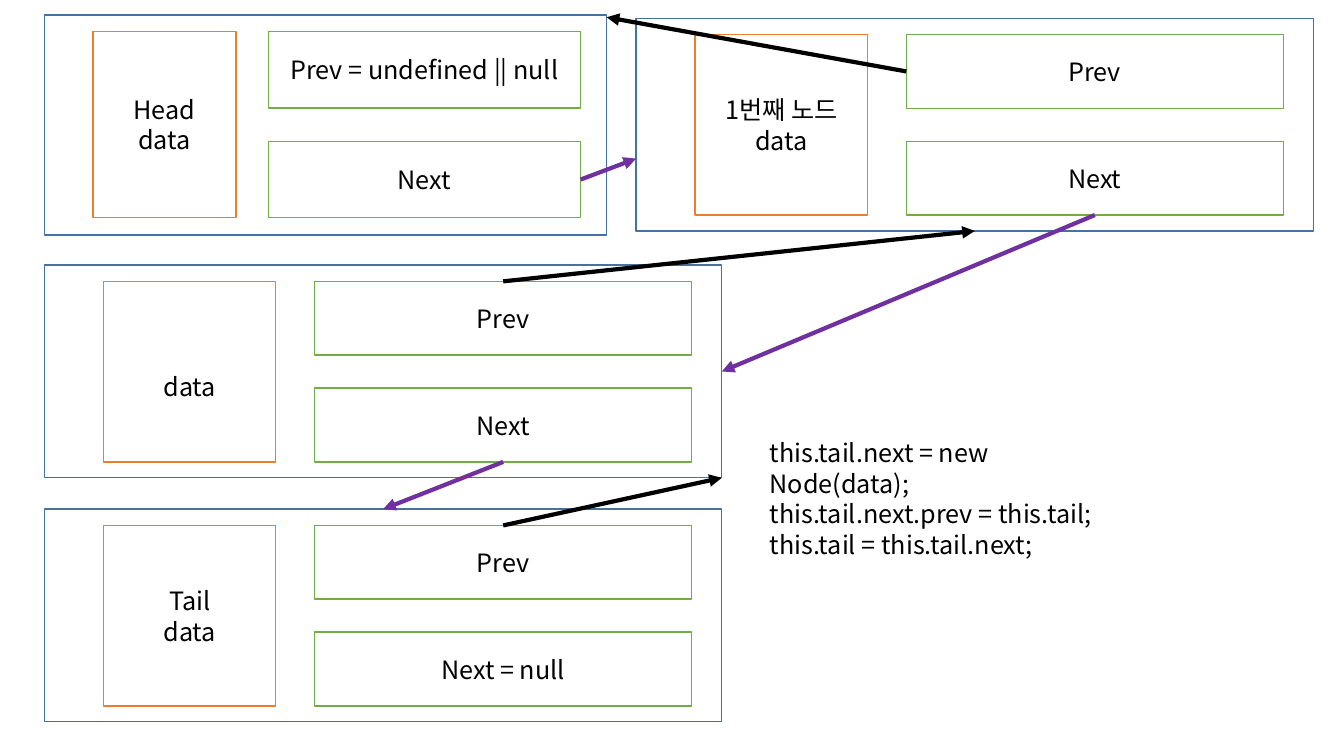
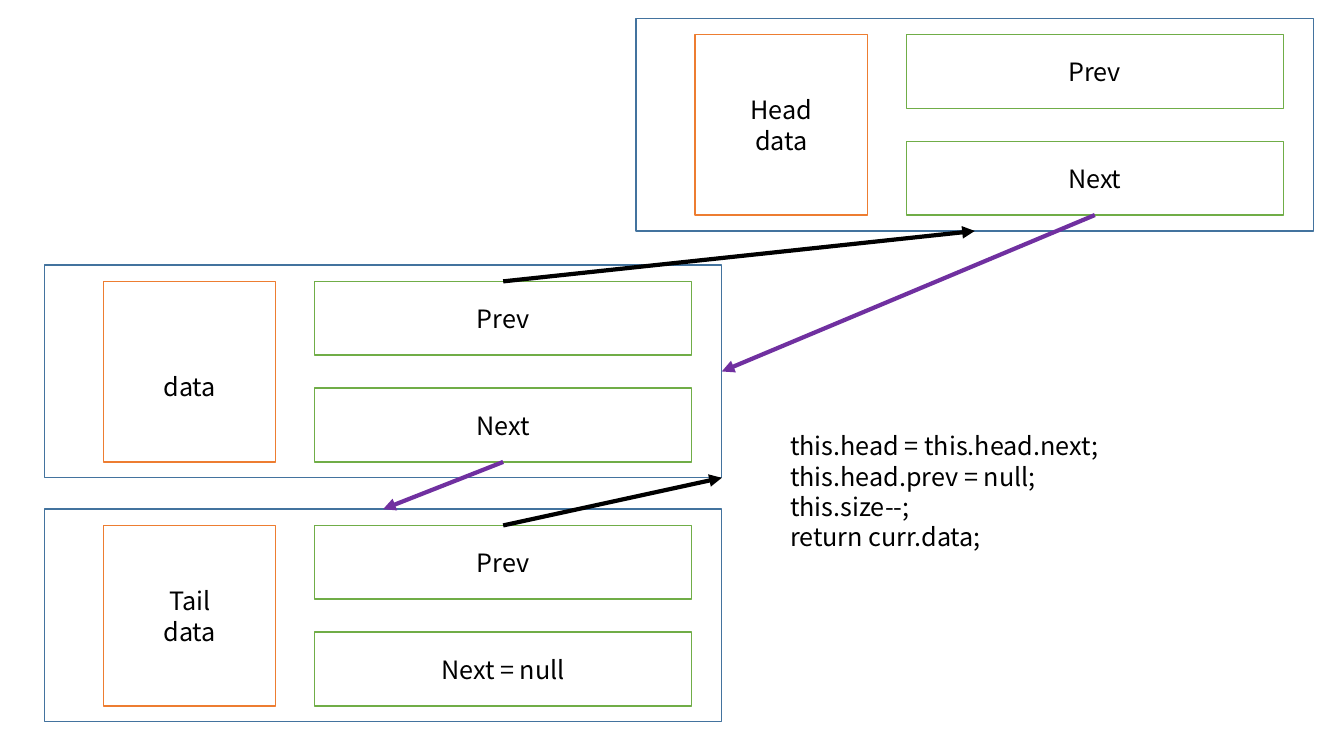
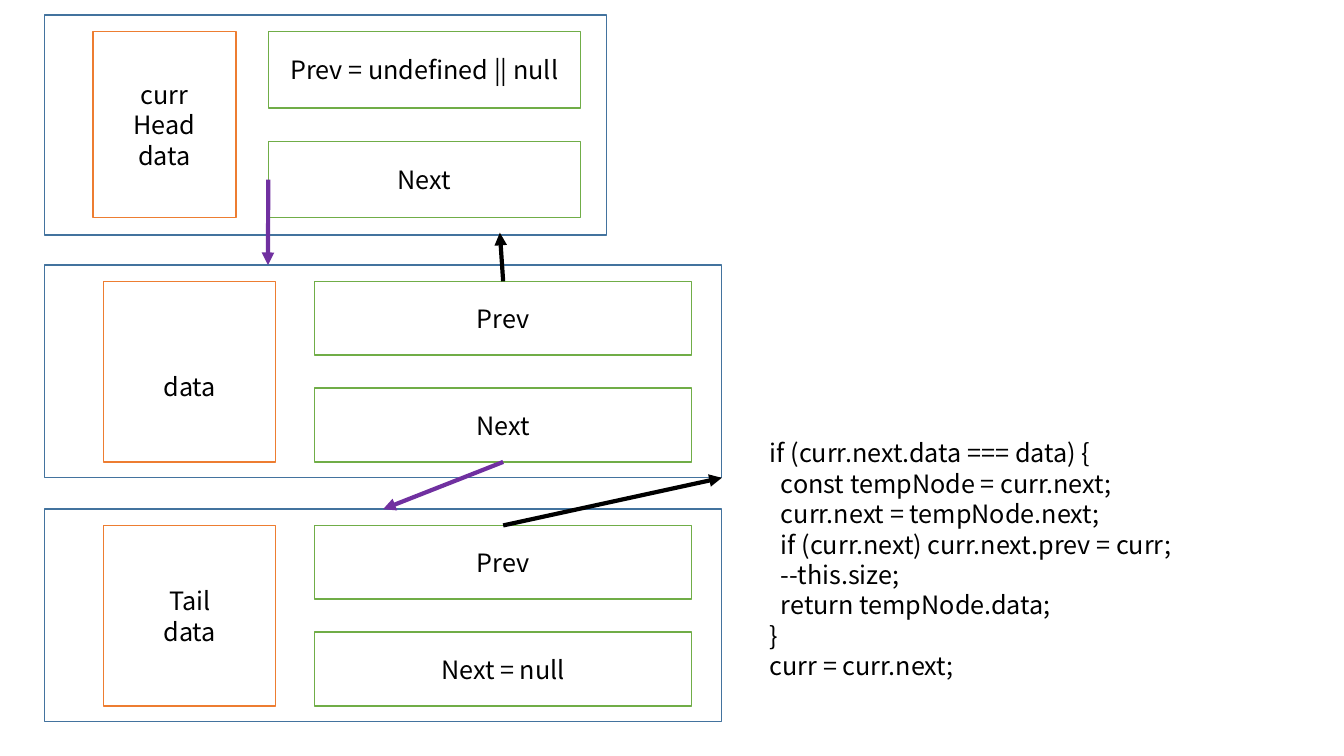
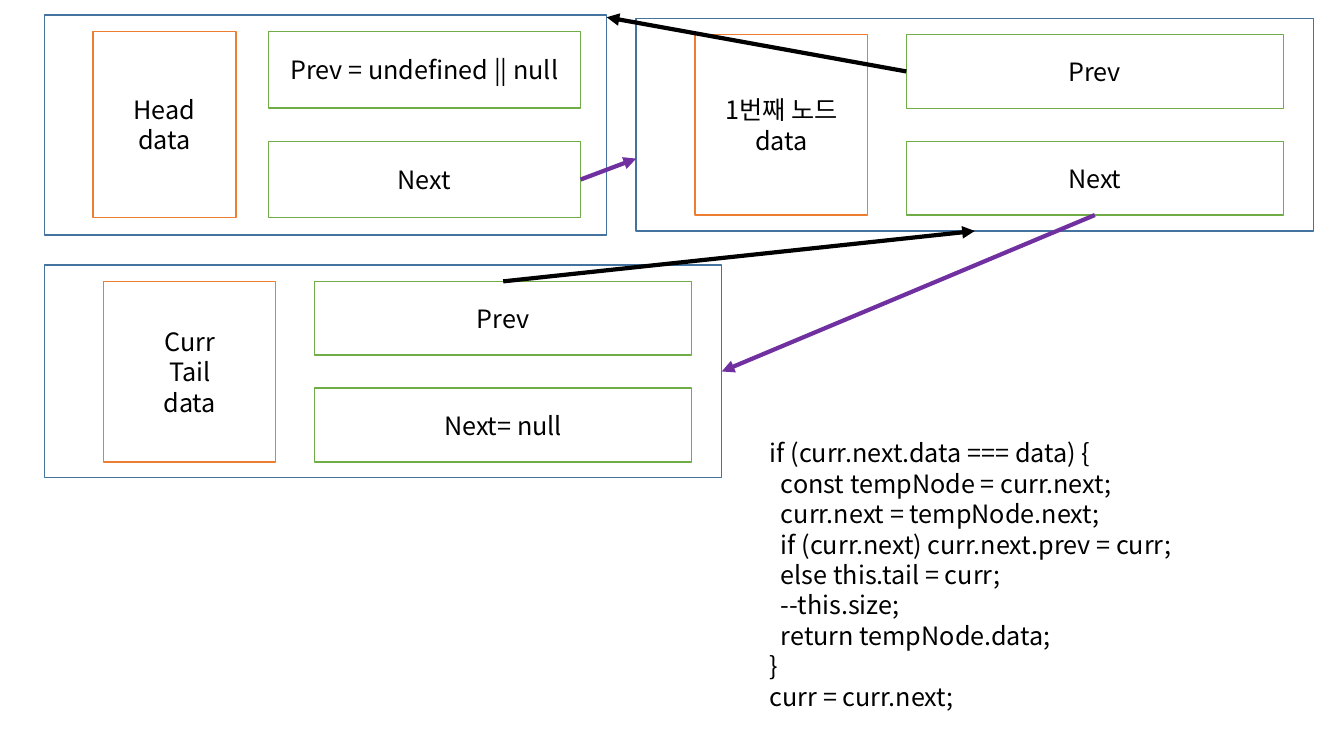
from collections import namedtuple

from lxml import etree
from pptx import Presentation
from pptx.dml.color import RGBColor
from pptx.enum.shapes import MSO_CONNECTOR, MSO_SHAPE
from pptx.enum.text import MSO_ANCHOR, PP_ALIGN
from pptx.oxml.ns import qn
from pptx.util import Cm, Pt

RECTANGLE = MSO_SHAPE.RECTANGLE
STRAIGHT = MSO_CONNECTOR.STRAIGHT
CENTER, LEFT = PP_ALIGN.CENTER, PP_ALIGN.LEFT
MIDDLE = MSO_ANCHOR.MIDDLE

# Shared style
COLORS = {
    "frame": "43739E",
    "data": "ED7D31",
    "field": "70AD47",
    "fill": "FFFFFF",
    "text": "000000",
    "prev": "000000",
    "next": "7030A0",
}
FONT = "Noto Sans CJK KR"
TEXT_SIZE = Pt(18)
LINE_HEIGHT = Pt(21.7)
INDENT_PER_SPACE = Cm(0.14)

# Node proportions in centimetres
Form = namedtuple("Form", "width height data_x data_w data_h field_x field_w field_h")
HEAD_FORM = Form(14.17, 5.54, 1.22, 3.61, 4.7, 5.64, 7.87, 1.93)
WIDE_FORM = Form(17.07, 5.36, 1.49, 4.34, 4.55, 6.81, 9.5, 1.86)
PADDING = 0.41

# Node places: form, left, top
LEFT_EDGE = 1.12
HEAD_PLACE = (HEAD_FORM, LEFT_EDGE, 0.38)
RIGHT_PLACE = (WIDE_FORM, 16.03, 0.46)
MIDDLE_PLACE = (WIDE_FORM, LEFT_EDGE, 6.68)
BOTTOM_PLACE = (WIDE_FORM, LEFT_EDGE, 12.83)

# Connection sites as fractions of a box's width and height
TOP, LEFT_SIDE, BOTTOM, RIGHT_SIDE = (0.5, 0), (0, 0.5), (0.5, 1), (1, 0.5)
SITES = [TOP, LEFT_SIDE, BOTTOM, RIGHT_SIDE]

Node = namedtuple("Node", "frame prev next")


def color(name):
    return RGBColor.from_string(COLORS[name])


def write(box, lines, align):
    """Write one paragraph per line; leading spaces become an indent."""
    frame = box.text_frame
    frame.word_wrap = True
    for index, line in enumerate(lines):
        para = frame.paragraphs[0] if index == 0 else frame.add_paragraph()
        para.alignment = align
        para.line_spacing = LINE_HEIGHT
        words = line.lstrip()
        indent = (len(line) - len(words)) * INDENT_PER_SPACE
        if indent:
            para._p.get_or_add_pPr().set("marL", str(indent))
        span = para.add_run()
        span.text = words
        span.font.size = TEXT_SIZE
        span.font.color.rgb = color("text")
        span.font.name = FONT
        east_asian = etree.SubElement(span._r.get_or_add_rPr(), qn("a:ea"))
        east_asian.set("typeface", FONT)


def add_box(group, kind, left, top, width, height, lines=()):
    box = group.shapes.add_shape(RECTANGLE, Cm(left), Cm(top), Cm(width), Cm(height))
    box.shadow.inherit = False
    box.fill.solid()
    box.fill.fore_color.rgb = color("fill")
    box.line.color.rgb = color(kind)
    box.line.width = Pt(1)
    box.text_frame.vertical_anchor = MIDDLE
    write(box, lines, CENTER)
    return box


def add_node(page, place, data, prev="Prev", next_text="Next", data_drop=0):
    """Draw a list node; data_drop lowers the data text by that many centimetres."""
    form, left, top = place
    group = page.shapes.add_group_shape()
    frame = add_box(group, "frame", left, top, form.width, form.height)
    upper = top + PADDING
    lower = upper + form.data_h - form.field_h
    data_box = add_box(group, "data", left + form.data_x, upper,
                       form.data_w, form.data_h, data)
    data_box.text_frame.margin_top += Cm(2 * data_drop)
    fields = [
        add_box(group, "field", left + form.field_x, y, form.field_w, form.field_h, [label])
        for y, label in ((upper, prev), (lower, next_text))
    ]
    return Node(frame, *fields)


def add_arrow(page, kind, source, source_site, target, target_spot):
    """Point from a side of source to a fractional spot on target."""
    x = target.left + round(target.width * target_spot[0])
    y = target.top + round(target.height * target_spot[1])
    arrow = page.shapes.add_connector(STRAIGHT, x, y, x, y)
    arrow.begin_connect(source, SITES.index(source_site))
    if target_spot in SITES:
        arrow.end_connect(target, SITES.index(target_spot))
    arrow.line.color.rgb = color(kind)
    arrow.line.width = Pt(3)
    etree.SubElement(arrow.line._get_or_add_ln(), qn("a:tailEnd")).set("type", "triangle")
    etree.SubElement(arrow._element.spPr, qn("a:effectLst"))


def add_code(page, left, top, width, lines):
    height = Cm(0.25) + LINE_HEIGHT * len(lines)
    box = page.shapes.add_textbox(Cm(left), Cm(top), Cm(width), height)
    write(box, lines, LEFT)


# Nodes and links that several slides use
def add_head(page, data):
    return add_node(page, HEAD_PLACE, data, prev="Prev = undefined || null")


def add_middle(page):
    return add_node(page, MIDDLE_PLACE, ["data"], data_drop=0.38)


def add_tail(page, middle):
    tail = add_node(page, BOTTOM_PLACE, ["Tail", "data"], next_text="Next = null")
    add_arrow(page, "next", middle.next, BOTTOM, tail.frame, TOP)
    add_arrow(page, "prev", tail.prev, TOP, middle.frame, (1, 1))


def add_head_and_first(page):
    head = add_head(page, ["Head", "data"])
    first = add_node(page, RIGHT_PLACE, ["1번째 노드", "data"])
    add_arrow(page, "next", head.next, RIGHT_SIDE, first.frame, (0, 0.66))
    add_arrow(page, "prev", first.prev, LEFT_SIDE, head.frame, (1, 0.01))
    return first


def link_right_to_middle(page, right, middle):
    add_arrow(page, "prev", middle.prev, TOP, right.frame, BOTTOM)
    add_arrow(page, "next", right.next, BOTTOM, middle.frame, RIGHT_SIDE)


def removal_code(*tail_update):
    return [
        "if (curr.next.data === data) {",
        "  const tempNode = curr.next;",
        "  curr.next = tempNode.next;",
        "  if (curr.next) curr.next.prev = curr;",
        *tail_update,
        "  --this.size;",
        "  return tempNode.data;",
        "}",
        "curr = curr.next;",
    ]


# Slides
def build_append(page):
    first = add_head_and_first(page)
    middle = add_middle(page)
    link_right_to_middle(page, first, middle)
    add_tail(page, middle)
    add_code(page, 19.15, 10.9, 9.5, [
        "this.tail.next = new Node(data);",
        "this.tail.next.prev = this.tail;",
        "this.tail = this.tail.next;",
    ])


def build_remove_head(page):
    head = add_node(page, RIGHT_PLACE, ["Head", "data"])
    middle = add_middle(page)
    link_right_to_middle(page, head, middle)
    add_tail(page, middle)
    add_code(page, 19.66, 10.72, 9.83, [
        "this.head = this.head.next;",
        "this.head.prev = null;",
        "this.size--;",
        "return curr.data;",
    ])


def build_remove_middle(page):
    head = add_head(page, ["curr", "Head", "data"])
    middle = add_middle(page)
    add_arrow(page, "next", head.next, LEFT_SIDE, middle.frame, (0.33, 0))
    add_arrow(page, "prev", middle.prev, TOP, head.frame, (0.81, 0.99))
    add_tail(page, middle)
    add_code(page, 19.15, 10.9, 10.9, removal_code())


def build_remove_tail(page):
    first = add_head_and_first(page)
    tail = add_node(page, MIDDLE_PLACE, ["Curr", "Tail", "data"], next_text="Next= null")
    link_right_to_middle(page, first, tail)
    add_code(page, 19.15, 10.9, 10.9, removal_code("  else this.tail = curr;"))


def main():
    deck = Presentation()
    deck.slide_width, deck.slide_height = Cm(33.87), Cm(19.05)
    blank = deck.slide_layouts[6]
    for build in (build_append, build_remove_head, build_remove_middle, build_remove_tail):
        build(deck.slides.add_slide(blank))
    deck.save("out.pptx")


main()
